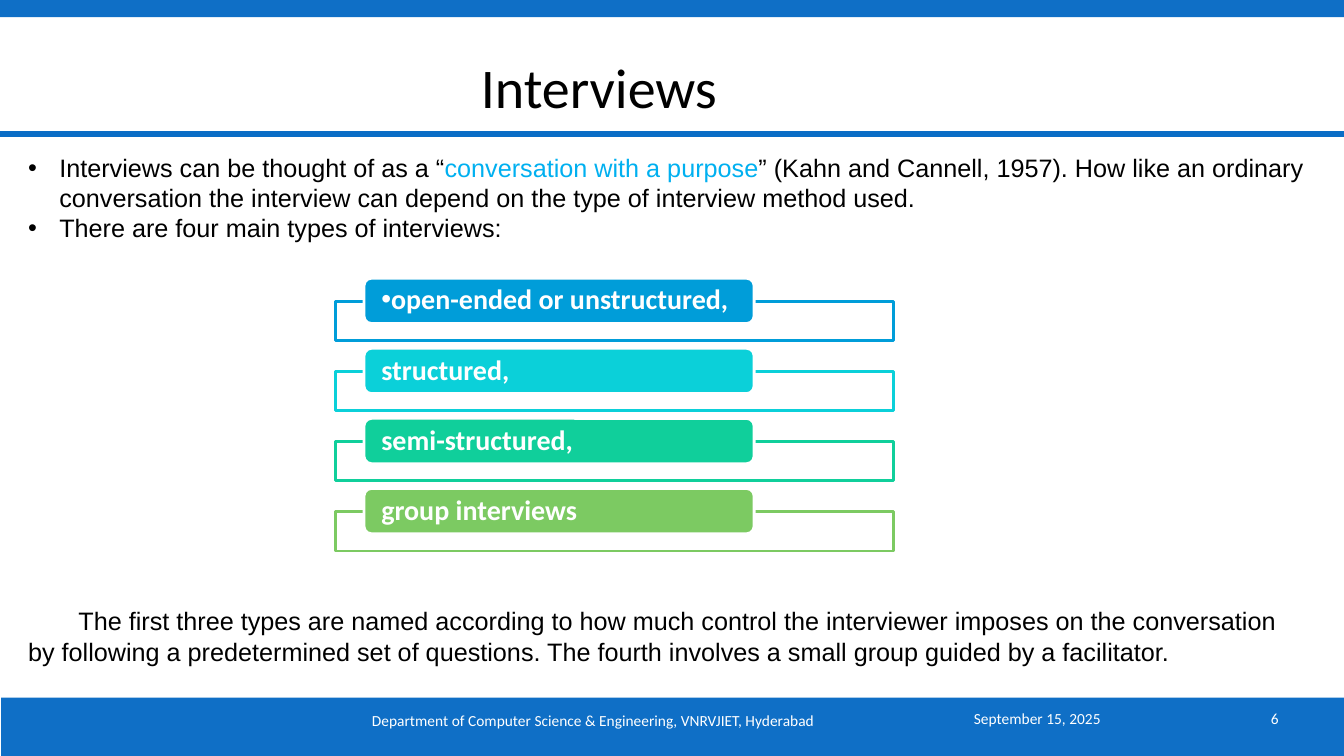
"""Build the slide on interview types."""
from dataclasses import dataclass, field

from lxml import etree
from pptx import Presentation
from pptx.dml.color import RGBColor
from pptx.enum.shapes import MSO_CONNECTOR, MSO_SHAPE
from pptx.enum.text import MSO_ANCHOR, PP_ALIGN
from pptx.oxml.ns import qn
from pptx.util import Inches, Pt

RECTANGLE, ROUNDED = MSO_SHAPE.RECTANGLE, MSO_SHAPE.ROUNDED_RECTANGLE
STRAIGHT = MSO_CONNECTOR.STRAIGHT
LEFT, CENTER, RIGHT = PP_ALIGN.LEFT, PP_ALIGN.CENTER, PP_ALIGN.RIGHT
TOP, MIDDLE = MSO_ANCHOR.TOP, MSO_ANCHOR.MIDDLE

BAND_BLUE = RGBColor(0x0F, 0x6F, 0xC6)
RULE_BLUE = RGBColor(0x0A, 0x6D, 0xC6)
PHRASE_BLUE = RGBColor(0x00, 0xB0, 0xF0)
AZURE = RGBColor(0x00, 0x9D, 0xD9)
TURQUOISE = RGBColor(0x0B, 0xD0, 0xD9)
EMERALD = RGBColor(0x10, 0xCF, 0x9B)
LEAF = RGBColor(0x7C, 0xCA, 0x62)
BLACK = RGBColor(0, 0, 0)
WHITE = RGBColor(0xFF, 0xFF, 0xFF)

SLIDE_WIDTH, SLIDE_HEIGHT = Inches(13.33), Inches(7.5)
ROW_PITCH = 9.27
RULE_TOP = 17.73

TITLE = {"name": "Calibri", "size": Pt(40)}
BODY = {"name": "Arial", "size": Pt(18)}
FOOTER = {"name": "Calibri", "size": Pt(11)}
LABEL = {"name": "Calibri", "size": Pt(20), "bold": True}


@dataclass
class Area:
    """A rectangle in percent of the slide's width and height."""

    left: float
    top: float
    width: float
    height: float

    def lengths(self, rows_down=0):
        """Return the rectangle in slide units, moved down by some rows."""
        top = self.top + rows_down * ROW_PITCH
        return (across(self.left), down(top), across(self.width), down(self.height))


@dataclass
class Line:
    """A paragraph made of pairs of text and colour."""

    spans: list
    align: PP_ALIGN = LEFT
    bullet: bool = False
    margin: float = 0
    indent: float = 0
    spacing: float = 1


@dataclass
class Block:
    """A text box with its lines and font."""

    area: Area
    font: dict
    lines: list
    anchor: MSO_ANCHOR = MIDDLE
    frame: dict = field(default_factory=dict)


@dataclass
class InterviewType:
    """One row of the list of interview types."""

    text: str
    color: RGBColor
    bullet: bool = False


BANDS = [Area(0.08, 92.27, 99.92, 7.73), Area(0, 0, 100, 2.27)]
OUTLINE = Area(24.98, 39.87, 41.49, 5.2)
TAB = Area(27.08, 36.8, 29.03, 6)

BLOCKS = [
    Block(Area(1.65, 5.07, 85.82, 12.67), TITLE, [Line([("Interviews", BLACK)], CENTER)]),
    Block(Area(71.72, 92.4, 15, 5.33), FOOTER, [Line([("September 15, 2025", WHITE)])]),
    Block(Area(16.65, 92.67, 55, 5.33), FOOTER, [
        Line([("Department of Computer Science & Engineering, VNRVJIET, Hyderabad", WHITE)],
             CENTER)]),
    Block(Area(87.55, 92.4, 8.33, 5.33), FOOTER, [Line([("6", WHITE)], RIGHT)],
          frame={"margin_left": 0}),
    Block(Area(1.35, 19.47, 96.47, 13.2), BODY, [
        Line([("Interviews can be thought of as a “", BLACK),
              ("conversation with a purpose", PHRASE_BLUE),
              ("” (Kahn and Cannell, 1957). How like an ordinary conversation the "
               "interview can depend on the type of interview method used.", BLACK)],
             bullet=True, margin=0.31, indent=-0.31),
        Line([("There are four main types of interviews:", BLACK)],
             bullet=True, margin=0.31, indent=-0.31)], TOP),
    Block(Area(1.35, 79.47, 96.47, 9.5), BODY, [
        Line([("The first three types are named according to how much control the "
               "interviewer imposes on the conversation", BLACK)], margin=0.5),
        Line([("by following a predetermined set of questions. The fourth involves a "
               "small group guided by a facilitator.", BLACK)])], TOP),
]

INTERVIEW_TYPES = [
    InterviewType("open-ended or unstructured,", AZURE, True),
    InterviewType("structured,", TURQUOISE),
    InterviewType("semi-structured,", EMERALD),
    InterviewType("group interviews", LEAF),
]


def across(percent: float) -> int:
    """Convert a share of the slide's width."""
    return round(SLIDE_WIDTH * percent / 100)


def down(percent: float) -> int:
    """Convert a share of the slide's height."""
    return round(SLIDE_HEIGHT * percent / 100)


def apply(target, values: dict) -> None:
    """Set each named attribute of the target."""
    for name, value in values.items():
        setattr(target, name, value)


def write(frame, lines: list, font: dict, settings: dict) -> None:
    """Fill a text frame with formatted lines."""
    apply(frame, {"word_wrap": True, **settings})
    for number, line in enumerate(lines):
        para = frame.add_paragraph() if number else frame.paragraphs[0]
        apply(para, {"alignment": line.align, "line_spacing": line.spacing})
        properties = para._p.get_or_add_pPr()
        properties.set("marL", str(Inches(line.margin)))
        properties.set("indent", str(Inches(line.indent)))
        if line.bullet:
            etree.SubElement(properties, qn("a:buFont")).set("typeface", "Arial")
            etree.SubElement(properties, qn("a:buChar")).set("char", "•")
        for text, color in line.spans:
            span = para.add_run()
            span.text = text
            apply(span.font, font)
            span.font.color.rgb = color


def add_box(page, kind: MSO_SHAPE, lengths: tuple, fill: RGBColor, line: RGBColor | None = None):
    """Add a filled shape, outlined when a line colour is given."""
    box = page.shapes.add_shape(kind, *lengths)
    box.shadow.inherit = False
    box.fill.solid()
    box.fill.fore_color.rgb = fill
    if line is None:
        box.line.fill.background()
    else:
        box.line.color.rgb = line
        box.line.width = Pt(2)
    return box


def add_rule(page, left: float) -> None:
    """Add a rule below the title across the slide."""
    rule = page.shapes.add_connector(
        STRAIGHT, across(left), down(RULE_TOP), across(left + 100), down(RULE_TOP))
    rule.line.color.rgb = RULE_BLUE
    rule.line.width = Pt(4)
    etree.SubElement(rule._element.spPr, qn("a:effectLst"))


def add_interview_type(page, row: int, kind: InterviewType) -> None:
    """Add an outline with its coloured tab."""
    outline = add_box(page, RECTANGLE, OUTLINE.lengths(row), WHITE, kind.color)
    white = outline._element.spPr.find(qn("a:solidFill")).find(qn("a:srgbClr"))
    etree.SubElement(white, qn("a:alpha")).set("val", "90000")
    tab = add_box(page, ROUNDED, TAB.lengths(row), kind.color, WHITE)
    line = Line([(kind.text, WHITE)], bullet=kind.bullet, spacing=0.9)
    write(tab.text_frame, [line], LABEL, {
        "vertical_anchor": MIDDLE, "margin_left": Inches(0.15),
        "margin_right": Inches(0.15), "margin_top": 0, "margin_bottom": 0})


def main() -> None:
    """Draw the slide and save the deck."""
    deck = Presentation()
    apply(deck, {"slide_width": SLIDE_WIDTH, "slide_height": SLIDE_HEIGHT})
    page = deck.slides.add_slide(deck.slide_layouts[6])
    for band in BANDS:
        add_box(page, RECTANGLE, band.lengths(), BAND_BLUE)
    for left in (0.08, 0):
        add_rule(page, left)
    for block in BLOCKS:
        box = page.shapes.add_textbox(*block.area.lengths())
        write(box.text_frame, block.lines, block.font,
              {"vertical_anchor": block.anchor, **block.frame})
    for row, kind in enumerate(INTERVIEW_TYPES):
        add_interview_type(page, row, kind)
    deck.save("out.pptx")


if __name__ == "__main__":
    main()
